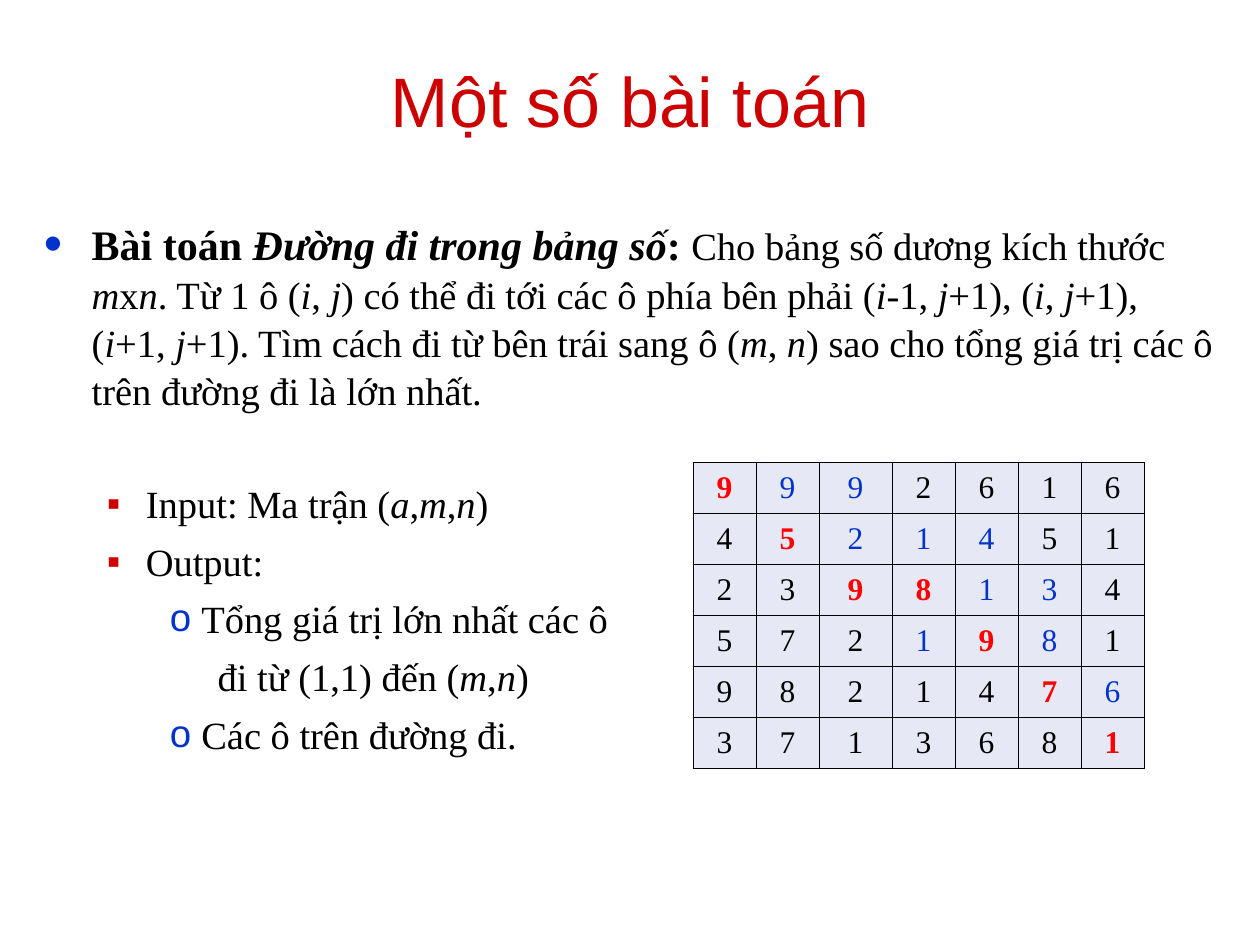
from lxml import etree
from pptx import Presentation
from pptx.dml.color import RGBColor
from pptx.enum import text as t
from pptx.oxml import ns
from pptx.util import Inches, Pt

RED = RGBColor(0xCC, 0x00, 0x00)
BRIGHT_RED = RGBColor(0xFF, 0x00, 0x00)
BLUE = RGBColor(0x00, 0x33, 0xCC)
BLACK = RGBColor(0x00, 0x00, 0x00)
LAVENDER = RGBColor(0xE7, 0xE8, 0xF6)
SERIF, SANS = "Times New Roman", "Arial"

TITLE = "Một số bài toán"

# Spans are (text, size, bold); asterisks enclose italics
PROBLEM = [
    ("Bài toán *Đường đi trong bảng số*: ", 24, True),
    ("Cho bảng số dương kích thước *m*x*n*. Từ 1 ô (*i*, *j*) có thể đi tới "
     "các ô phía bên phải (*i*-1, *j*+1), (*i*, *j*+1), (*i*+1, *j*+1). "
     "Tìm cách đi từ bên trái sang ô (*m*, *n*) sao cho tổng giá trị các ô "
     "trên đường đi là lớn nhất.", 22, False),
]
# Style: left margin, hanging indent, bullet, bullet colour, bullet size %
MAIN = (0.38, 0.38, "•", BLUE, 125)
SUB = (0.81, 0.31, "▪", RED, 100)
DETAIL = (1.25, 0.25, "o", BLUE, 100)
CONTINUED = (1.38, 0, None, None, None)

# Paragraphs are (style, space before, spans)
BODY = [
    (MAIN, 0, PROBLEM),
    (SUB, 37.3, [("Input: Ma trận (*a*,*m*,*n*)", 22, False)]),
    (SUB, 5.5, [("Output:", 22, False)]),
    (DETAIL, 5.5, [("Tổng giá trị lớn nhất các ô", 22, False)]),
    (CONTINUED, 5.5, [("đi từ (1,1) đến (*m*,*n*)", 22, False)]),
    (DETAIL, 5.5, [("Các ô trên đường đi.", 22, False)]),
]

NUMBERS = ["9992616", "4521451", "2398134", "5721981", "9821476", "3713681"]
BEST_PATH = {(0, 0), (1, 1), (2, 2), (2, 3), (3, 4), (4, 5), (5, 6)}
REACHABLE = {(0, 1), (0, 2), (1, 2), (1, 3), (1, 4), (2, 4), (2, 5),
             (3, 3), (3, 5), (4, 6)}
COLUMN_WIDTHS = [0.5, 0.5, 0.58, 0.5, 0.5, 0.5, 0.5]
ROW_HEIGHT = 2.43 / len(NUMBERS)


def add_box(slide, left, top, width, height):
    frame = slide.shapes.add_textbox(*map(Inches, (left, top, width, height))).text_frame
    frame.word_wrap = True
    return frame


def set_bullet(para, style):
    margin, hanging, symbol, color, size = style
    props = para._p.get_or_add_pPr()
    props.set("marL", str(Inches(margin)))
    props.set("indent", str(-Inches(hanging)))
    if symbol:
        bullet_color = etree.SubElement(props, ns.qn("a:buClr"))
        etree.SubElement(bullet_color, ns.qn("a:srgbClr"), val=str(color))
        etree.SubElement(props, ns.qn("a:buSzPct"), val=str(size * 1000))
        etree.SubElement(props, ns.qn("a:buFont"), typeface=SANS)
        etree.SubElement(props, ns.qn("a:buChar"), char=symbol)


def set_font(font, name, size, color, bold=False):
    font.name, font.size, font.bold = name, Pt(size), bold
    font.color.rgb = color


def add_borders(cell):
    props = cell._tc.get_or_add_tcPr()
    for position, side in enumerate(("lnL", "lnR", "lnT", "lnB")):
        line = etree.Element(ns.qn("a:" + side), w=str(Pt(0.45)))
        fill = etree.SubElement(line, ns.qn("a:solidFill"))
        etree.SubElement(fill, ns.qn("a:srgbClr"), val=str(BLACK))
        props.insert(position, line)


deck = Presentation()
deck.slide_width, deck.slide_height = Inches(10), Inches(7.5)
slide = deck.slides.add_slide(deck.slide_layouts[6])

# Title
frame = add_box(slide, 0.5, 0.25, 9, 1.08)
frame.vertical_anchor = t.MSO_ANCHOR.MIDDLE
para = frame.paragraphs[0]
para.text = TITLE
para.alignment = t.PP_ALIGN.CENTER
set_font(para.font, SANS, 40, RED)

# Problem statement, input and output
frame = add_box(slide, 0.25, 1.67, 9.5, 5.25)
for index, (style, space, spans) in enumerate(BODY):
    para = frame.add_paragraph() if index else frame.paragraphs[0]
    set_bullet(para, style)
    para.space_before = Pt(space)
    para.line_spacing = 1.04
    set_font(para.font, SERIF, 22, BLACK)
    for text, size, bold in spans:
        for part, words in enumerate(text.split("*")):
            if words:
                span = para.add_run()
                span.text = words
                set_font(span.font, SERIF, size, BLACK, bold)
                span.font.italic = part % 2 == 1

# Number grid
table = slide.shapes.add_table(
    len(NUMBERS), len(COLUMN_WIDTHS), Inches(5.5), Inches(3.67),
    Inches(sum(COLUMN_WIDTHS)), Inches(2.43)).table
for column, width in zip(table.columns, COLUMN_WIDTHS):
    column.width = Inches(width)
for row, digits in enumerate(NUMBERS):
    table.rows[row].height = Inches(ROW_HEIGHT)
    for column, digit in enumerate(digits):
        place = (row, column)
        cell = table.cell(row, column)
        cell.fill.solid()
        cell.fill.fore_color.rgb = LAVENDER
        cell.margin_left = cell.margin_right = Inches(0.01)
        cell.vertical_anchor = t.MSO_ANCHOR.MIDDLE
        add_borders(cell)
        para = cell.text_frame.paragraphs[0]
        para.text = digit
        para.alignment = t.PP_ALIGN.CENTER
        on_path = place in BEST_PATH
        color = BRIGHT_RED if on_path else BLUE if place in REACHABLE else BLACK
        set_font(para.font, SERIF, 18, color, on_path)

deck.save("out.pptx")
